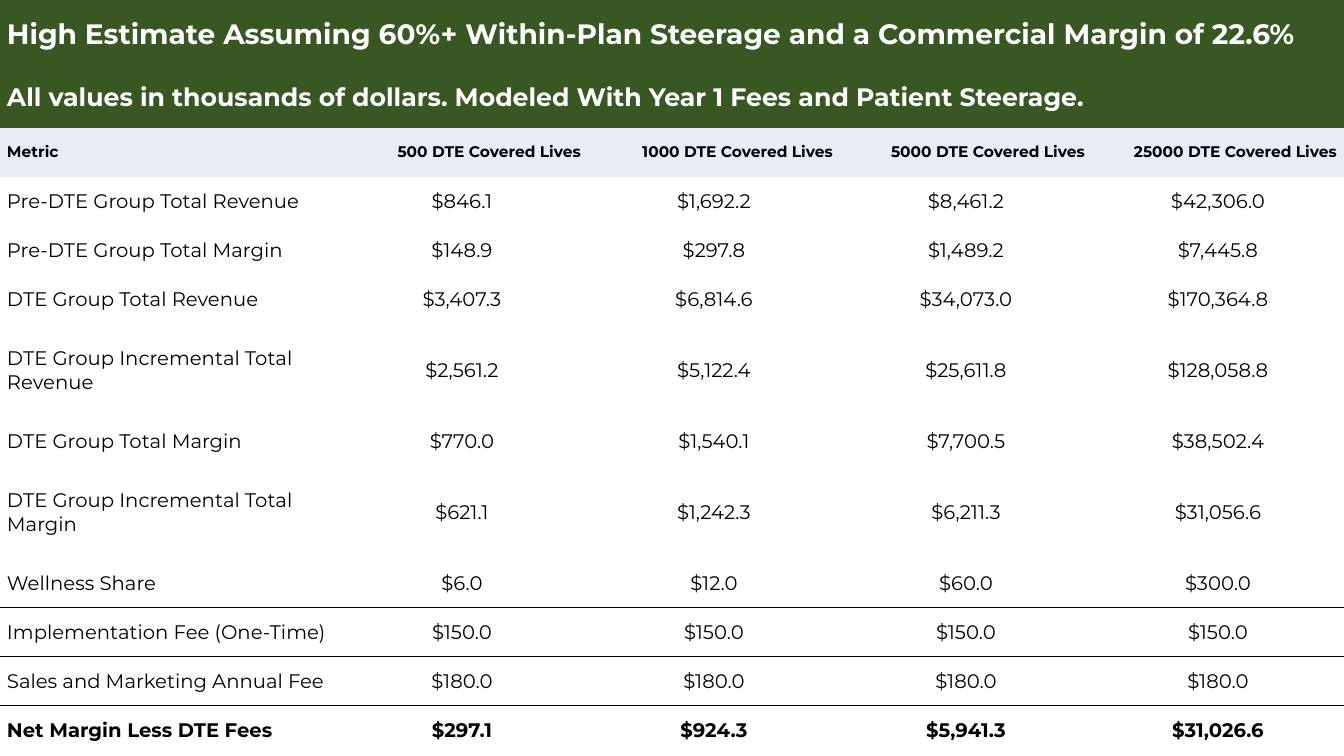
from lxml.etree import SubElement
from pptx import Presentation
from pptx.dml.color import RGBColor
from pptx.enum.text import MSO_ANCHOR, PP_ALIGN
from pptx.oxml import parse_xml
from pptx.oxml.ns import nsdecls
from pptx.util import Pt

PX = 914400 / 100.8
GREEN = RGBColor(0x38, 0x57, 0x23)
PALE = RGBColor(0xE7, 0xEC, 0xF5)
WHITE = RGBColor(0xFF, 0xFF, 0xFF)
BLACK = RGBColor(0, 0, 0)
NO_STYLE = "{2D5ABB26-0587-4C30-8999-92F81FD0307C}"


def px(n):
    return round(n * PX)


def write(cell, text, size=14, bold=False, color=BLACK, align=PP_ALIGN.LEFT, fill=None):
    cell.margin_left = cell.margin_right = cell.margin_top = cell.margin_bottom = 0
    cell.vertical_anchor = MSO_ANCHOR.MIDDLE
    if fill is None:
        cell.fill.background()
    else:
        cell.fill.solid()
        cell.fill.fore_color.rgb = fill
    p = cell.text_frame.paragraphs[0]
    p.alignment = align
    pPr = p._p.get_or_add_pPr()
    pPr.set("marL", str(px(7)))
    pPr.set("marR", str(px(7)))
    r = p.add_run()
    r.text = text
    r.font.name = "Montserrat"
    r.font.size = Pt(size)
    r.font.bold = bold
    r.font.color.rgb = color


titles = [
    ("High Estimate Assuming 60%+ Within-Plan Steerage and a Commercial Margin of 22.6%", 20),
    ("All values in thousands of dollars. Modeled With Year 1 Fees and Patient Steerage.", 18),
]
header = ["Metric", "500 DTE Covered Lives", "1000 DTE Covered Lives",
          "5000 DTE Covered Lives", "25000 DTE Covered Lives"]
metrics = [
    ["Pre-DTE Group Total Revenue", "$846.1", "$1,692.2", "$8,461.2", "$42,306.0"],
    ["Pre-DTE Group Total Margin", "$148.9", "$297.8", "$1,489.2", "$7,445.8"],
    ["DTE Group Total Revenue", "$3,407.3", "$6,814.6", "$34,073.0", "$170,364.8"],
    ["DTE Group Incremental Total Revenue", "$2,561.2", "$5,122.4", "$25,611.8", "$128,058.8"],
    ["DTE Group Total Margin", "$770.0", "$1,540.1", "$7,700.5", "$38,502.4"],
    ["DTE Group Incremental Total Margin", "$621.1", "$1,242.3", "$6,211.3", "$31,056.6"],
    ["Wellness Share", "$6.0", "$12.0", "$60.0", "$300.0"],
    ["Implementation Fee (One-Time)", "$150.0", "$150.0", "$150.0", "$150.0"],
    ["Sales and Marketing Annual Fee", "$180.0", "$180.0", "$180.0", "$180.0"],
    ["Net Margin Less DTE Fees", "$297.1", "$924.3", "$5,941.3", "$31,026.6"],
]
rules = {
    "Wellness Share": "lnB",
    "Implementation Fee (One-Time)": "lnT",
    "Sales and Marketing Annual Fee": "lnB",
    "Net Margin Less DTE Fees": "lnT",
}
col_widths = [336] + [252] * 4
row_heights = [68, 60, 49] + [93 if "Incremental" in m[0] else 49 for m in metrics]

prs = Presentation()
prs.slide_width = px(1344)
prs.slide_height = px(756)
s = prs.slides.add_slide(prs.slide_layouts[6])

sp = s.shapes.add_table(len(row_heights), len(col_widths), 0, 0,
                        px(sum(col_widths)), px(sum(row_heights)))
table = sp.table
table.first_row = False
table.horz_banding = False
table._tbl.tblPr[0].text = NO_STYLE
for col, width in zip(table.columns, col_widths):
    col.width = px(width)
for row, height in zip(table.rows, row_heights):
    row.height = px(height)

for i, (text, size) in enumerate(titles):
    table.cell(i, 0).merge(table.cell(i, 4))
    write(table.cell(i, 0), text, size=size, bold=True, color=WHITE, fill=GREEN)

for j, text in enumerate(header):
    write(table.cell(2, j), text, size=11, bold=True, fill=PALE,
          align=PP_ALIGN.RIGHT if j else PP_ALIGN.LEFT)

for i, values in enumerate(metrics, start=3):
    for j, text in enumerate(values):
        cell = table.cell(i, j)
        write(cell, text, bold=values[0].startswith("Net"),
              align=PP_ALIGN.CENTER if j else PP_ALIGN.LEFT)
        side = rules.get(values[0])
        if side:
            ln = parse_xml(f'<a:{side} {nsdecls("a")} w="{Pt(1)}"><a:solidFill>'
                           f'<a:srgbClr val="{BLACK}"/></a:solidFill></a:{side}>')
            cell._tc.get_or_add_tcPr().insert(0, ln)

prs.save("out.pptx")
